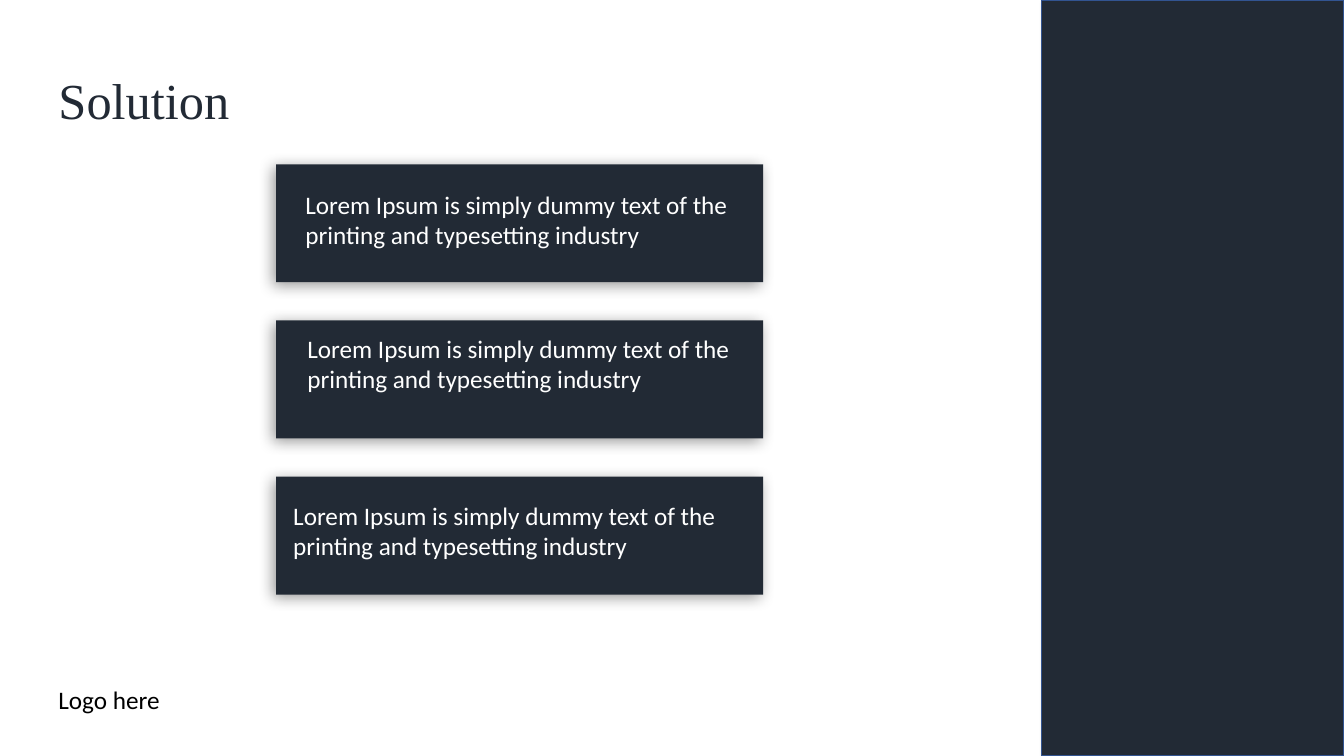
from lxml import etree
from pptx import Presentation
from pptx.dml.color import RGBColor
from pptx.enum.shapes import MSO_SHAPE
from pptx.enum.text import MSO_ANCHOR, MSO_AUTO_SIZE, PP_ALIGN
from pptx.oxml.ns import qn
from pptx.util import Inches, Pt

RECT = MSO_SHAPE.RECTANGLE
MIDDLE, TOP = MSO_ANCHOR.MIDDLE, MSO_ANCHOR.TOP
LEFT = PP_ALIGN.LEFT
NO_FIT, GROW = MSO_AUTO_SIZE.NONE, MSO_AUTO_SIZE.SHAPE_TO_FIT_TEXT
TITLE_ONLY = 5

TITLE = "Solution"
LOGO_NOTE = "Logo here"
LOREM = "Lorem Ipsum is simply dummy text of the printing and typesetting industry"
# Text, then left, top and width of its box
CARDS = [
    (LOREM, 2.93, 1.83, 4.44),
    (LOREM, 2.95, 3.26, 5.2),
    (LOREM, 2.81, 4.91, 4.8),
]


class Theme:
    dark = "222A35"
    edge = "325491"
    white = "FFFFFF"
    black = "000000"
    title_font = "Times New Roman"
    body_font = "Calibri"
    title_size = 36
    body_size = 18


SLIDE_W, SLIDE_H = 13.33, 7.5
PANEL_W = 3
MARGIN = 0.48
CARD_X, CARD_Y, CARD_W, CARD_H = 2.74, 1.63, 4.83, 1.17
CARD_STEP = 1.55


def set_text(s, text, *, font=Theme.body_font, size=Theme.body_size, color=Theme.white,
             anchor=TOP, wrap=True, fit=GROW, spacing=None):
    tf = s.text_frame
    tf.word_wrap = wrap
    tf.auto_size = fit
    tf.vertical_anchor = anchor
    p = tf.paragraphs[0]
    p.alignment = LEFT
    if spacing:
        p.line_spacing = spacing
    r = p.add_run()
    r.text = text
    r.font.name = font
    r.font.size = Pt(size)
    r.font.color.rgb = RGBColor.from_string(color)


def add_text(slide, text, x, y, w, h, **fmt):
    set_text(slide.shapes.add_textbox(Inches(x), Inches(y), Inches(w), Inches(h)), text, **fmt)


def add_block(slide, x, y, w, h, *, blur, angle, line=None):
    """Dark rectangle with a soft outer shadow; blur in points, angle in degrees."""
    s = slide.shapes.add_shape(RECT, Inches(x), Inches(y), Inches(w), Inches(h))
    s.fill.solid()
    s.fill.fore_color.rgb = RGBColor.from_string(Theme.dark)
    if line:
        s.line.color.rgb = RGBColor.from_string(line)
        s.line.width = Pt(1)
    else:
        s.line.fill.background()
    s.shadow.inherit = False
    effects = s._element.spPr.find(qn("a:effectLst"))
    shadow = etree.SubElement(effects, qn("a:outerShdw"), blurRad=str(Pt(blur)),
                              dist=str(Pt(3)), dir=str(angle * 60000), rotWithShape="0")
    color = etree.SubElement(shadow, qn("a:srgbClr"), val=Theme.black)
    etree.SubElement(color, qn("a:alpha"), val="40000")


def main():
    prs = Presentation()
    prs.slide_width, prs.slide_height = Inches(SLIDE_W), Inches(SLIDE_H)
    slide = prs.slides.add_slide(prs.slide_layouts[TITLE_ONLY])

    add_block(slide, SLIDE_W - PANEL_W, 0, PANEL_W, SLIDE_H, blur=4, angle=45, line=Theme.edge)

    title = slide.shapes.title
    title.left, title.top = Inches(MARGIN), Inches(0.73)
    title.width, title.height = Inches(2.27), Inches(0.58)
    set_text(title, TITLE, font=Theme.title_font, size=Theme.title_size, color=Theme.dark,
             anchor=MIDDLE, fit=NO_FIT, spacing=0.9)

    for i, (text, x, y, w) in enumerate(CARDS):
        add_block(slide, CARD_X, CARD_Y + i * CARD_STEP, CARD_W, CARD_H, blur=11, angle=135)
        add_text(slide, text, x, y, w, 0.71)

    add_text(slide, LOGO_NOTE, MARGIN, 6.74, 1.22, 0.4, color=Theme.black, wrap=False)
    prs.save("out.pptx")


if __name__ == "__main__":
    main()
